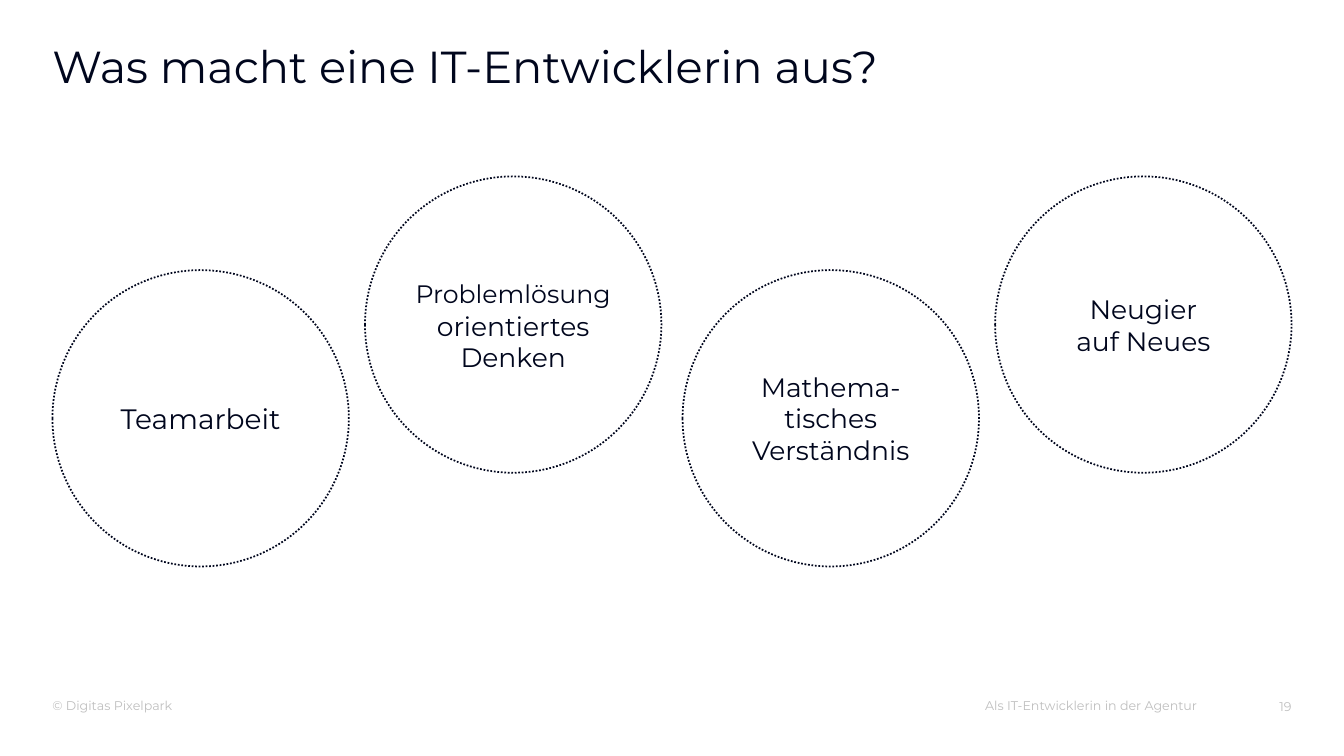
from pptx import Presentation
from pptx.dml.color import RGBColor
from pptx.enum.dml import MSO_LINE
from pptx.enum.shapes import MSO_SHAPE as Shape
from pptx.enum.text import MSO_ANCHOR as Anchor, MSO_AUTO_SIZE as AutoSize, PP_ALIGN as Align
from pptx.util import Inches, Pt

FONT, NAVY, GREY = "Montserrat", "00061D", "BFBFBF"
TITLE = "Was macht eine IT-Entwicklerin aus?"
DIAMETER = 2.94
LOW, HIGH = 2.68, 1.75
CIRCLES = [
    (0.52, LOW, [[("Teamarbeit", 20)]]),
    (3.62, HIGH, [[("Problemlösung", 18), (" ", 20), ("orientiertes Denken", 19)]]),
    (6.77, LOW, [[("Mathema-tisches Verständnis", 19)]]),
    (9.87, HIGH, [[("Neugier", 19)], [("auf Neues", 19)]]),
]
FOOTERS = [
    ("© Digitas Pixelpark", (0.52, 6.92, 1.2, 0.15), Align.LEFT, Anchor.MIDDLE, 1.0, False),
    ("Als IT-Entwicklerin in der Agentur", (7.38, 6.93, 4.49, 0.14), Align.RIGHT, Anchor.MIDDLE, 1.0, True),
    ("19", (12.42, 6.95, 0.39, 0.14), Align.RIGHT, Anchor.TOP, 0.9, True),
]


def color(value):
    return RGBColor.from_string(value)


def apply(target, values):
    for name, value in values.items():
        setattr(target, name, value)


def write(shape, paragraphs, ink, align, anchor, spacing=1.0, inset=0, wrap=True):
    frame = shape.text_frame
    margins = {f"margin_{side}": Inches(inset) for side in ("left", "top", "right", "bottom")}
    apply(frame, {"auto_size": AutoSize.NONE, "word_wrap": wrap, "vertical_anchor": anchor, **margins})
    for index, spans in enumerate(paragraphs):
        para = frame.add_paragraph() if index else frame.paragraphs[0]
        apply(para, {"alignment": align, "line_spacing": spacing})
        for text, size in spans:
            span = para.add_run()
            span.text = text
            apply(span.font, {"name": FONT, "size": Pt(size)})
            span.font.color.rgb = color(ink)


def add_circle(page, left, top, paragraphs):
    circle = page.shapes.add_shape(Shape.OVAL, *map(Inches, (left, top, DIAMETER, DIAMETER)))
    circle.shadow.inherit = False
    circle.fill.background()
    circle.line.color.rgb = color(NAVY)
    apply(circle.line, {"width": Pt(1.25), "dash_style": MSO_LINE.ROUND_DOT})
    write(circle, paragraphs, NAVY, Align.CENTER, Anchor.MIDDLE, inset=0.06)


def main():
    deck = Presentation()
    apply(deck, {"slide_width": Inches(13.33), "slide_height": Inches(7.5)})
    page = deck.slides.add_slide(deck.slide_layouts[5])
    title = page.shapes.title
    apply(title, dict(zip(("left", "top", "width", "height"), map(Inches, (0.52, 0.44, 11.34, 0.39)))))
    write(title, [[(TITLE, 32)]], NAVY, Align.LEFT, Anchor.TOP, 0.9)
    for text, place, align, anchor, spacing, wrap in FOOTERS:
        box = page.shapes.add_textbox(*map(Inches, place))
        write(box, [[(text, 9)]], GREY, align, anchor, spacing, wrap=wrap)
    for left, top, paragraphs in CIRCLES:
        add_circle(page, left, top, paragraphs)
    deck.save("out.pptx")


if __name__ == "__main__":
    main()
